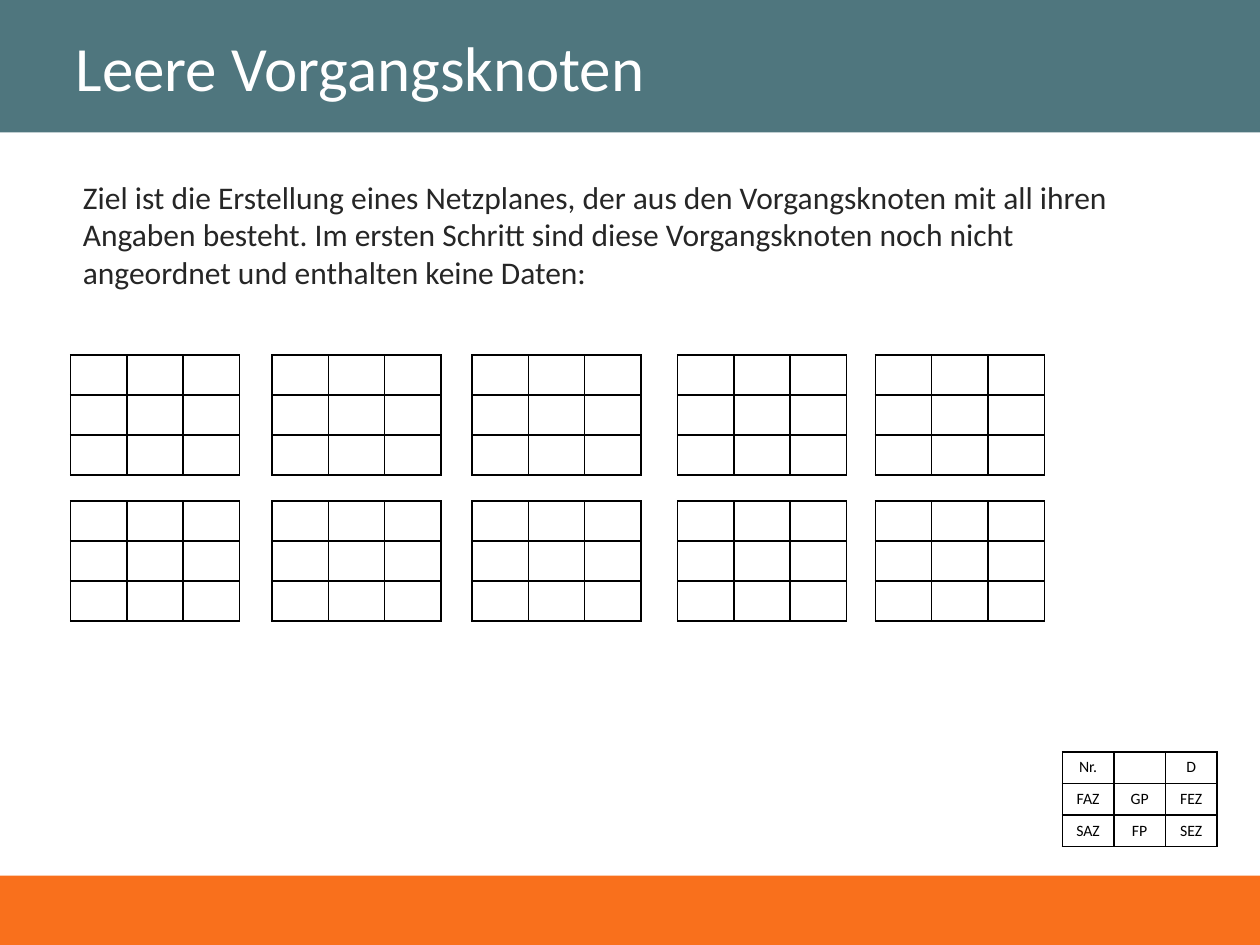
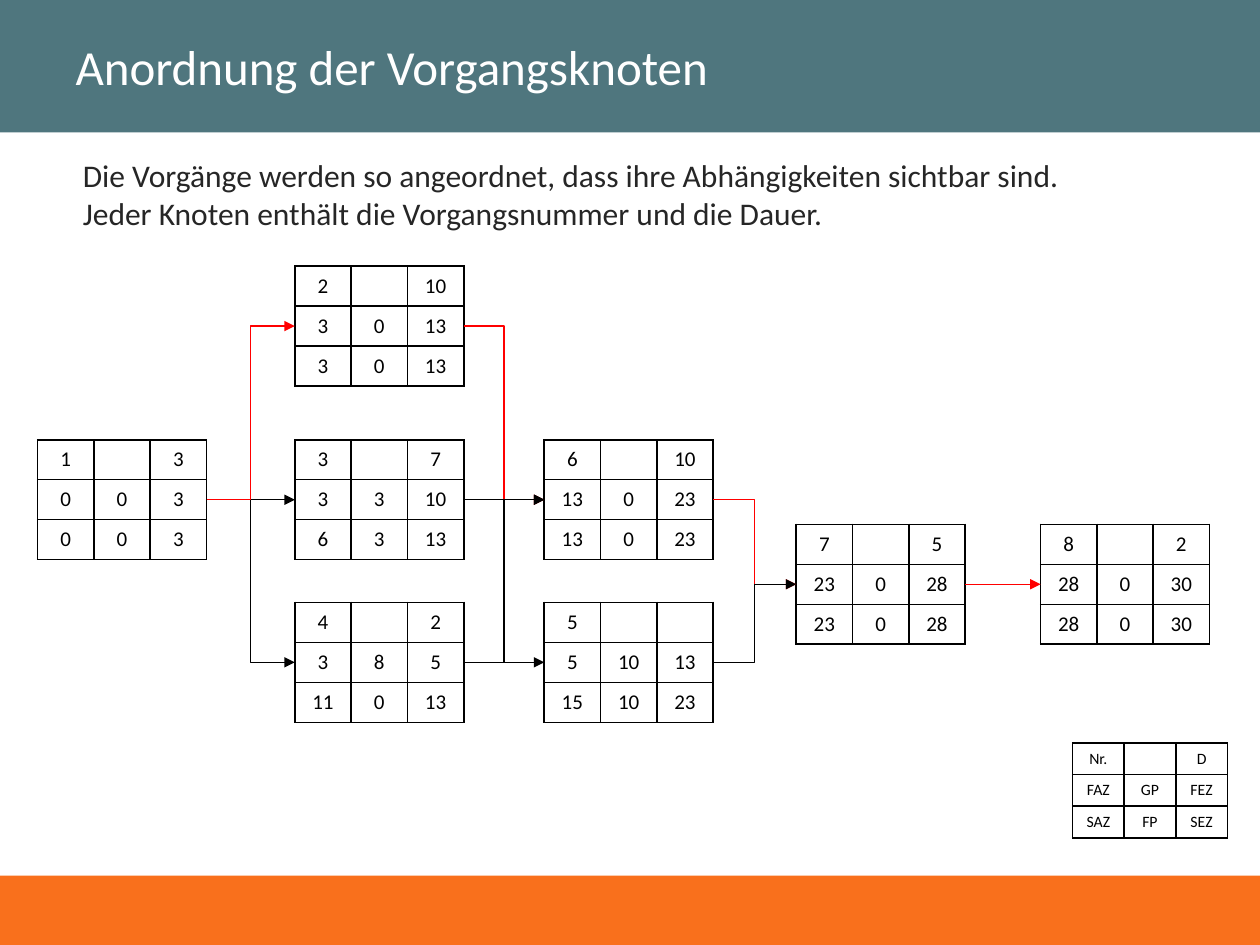
import dataclasses

import lxml.etree
import pptx
import pptx.dml.color
import pptx.enum.shapes
import pptx.enum.text
import pptx.oxml.ns
import pptx.util

Pt = pptx.util.Pt
qn = pptx.oxml.ns.qn


@dataclasses.dataclass(frozen=True)
class Theme:
    """Colours, font, type sizes and line widths of the deck."""
    font: str = "Calibri"
    band: str = "4F767E"
    footer: str = "F9701C"
    title: str = "FFFFFF"
    body: str = "262626"
    ink: str = "000000"
    critical: str = "FF0000"
    body_size: int = 18
    node_size: int = 12
    legend_size: int = 9
    border: float = 1
    arrow: float = 0.75


THEME = Theme()
SLIDE_WIDTH, SLIDE_HEIGHT = 720, 540
BAND_HEIGHT, FOOTER_HEIGHT = 75.6, 39.6
TEXT_LEFT, TEXT_WIDTH = 40.3, 607
NODE_CELL = (32.2, 22.86)
LEGEND_CELL = (29.5, 18.1)
NODE_WIDTH, NODE_HEIGHT = 3 * NODE_CELL[0], 3 * NODE_CELL[1]

EMPTY_NODE = [[""] * 3] * 3
LEGEND = [["Nr.", "", "D"], ["FAZ", "GP", "FEZ"], ["SAZ", "FP", "SEZ"]]

EMPTY_COLUMNS = (40.3, 155.5, 269.7, 387.2, 500.2)
EMPTY_ROWS = (203, 286.4)

NODES = {
    6: (311, 251.3, [["6", "", "10"], ["13", "0", "23"], ["13", "0", "23"]]),
    7: (455, 299.6, [["7", "", "5"], ["23", "0", "28"], ["23", "0", "28"]]),
    8: (594.6, 299.6, [["8", "", "2"], ["28", "0", "30"], ["28", "0", "30"]]),
    1: (21.5, 251.3, [["1", "", "3"], ["0", "0", "3"], ["0", "0", "3"]]),
    2: (168.5, 152.1, [["2", "", "10"], ["3", "0", "13"], ["3", "0", "13"]]),
    3: (168.5, 251.3, [["3", "", "7"], ["3", "3", "10"], ["6", "3", "13"]]),
    4: (168.5, 344.2, [["4", "", "2"], ["3", "8", "5"], ["11", "0", "13"]]),
    5: (311, 344.2, [["5", "", ""], ["5", "10", "13"], ["15", "10", "23"]]),
}

DEPENDENCIES = [
    (1, 3, THEME.ink, 18),
    (1, 4, THEME.ink, 0),
    (4, 5, THEME.ink, 0),
    (1, 2, THEME.critical, 0),
    (2, 6, THEME.critical, 0),
    (4, 6, THEME.ink, 0),
    (3, 6, THEME.ink, 0),
    (6, 7, THEME.critical, 0),
    (5, 7, THEME.ink, 0),
    (7, 8, THEME.critical, 0),
]


def rgb(value):
    """Return a colour object for a hex value."""
    return pptx.dml.color.RGBColor.from_string(value)


def write_text(frame, text, size, color, align="LEFT", anchor="TOP"):
    """Write one formatted paragraph into a text frame."""
    frame.word_wrap = True
    frame.vertical_anchor = getattr(pptx.enum.text.MSO_ANCHOR, anchor)
    para = frame.paragraphs[0]
    para.alignment = getattr(pptx.enum.text.PP_ALIGN, align)
    if not text:
        end = lxml.etree.SubElement(para._p, qn("a:endParaRPr"))
        end.set("sz", str(size * 100))
        return
    span = para.add_run()
    span.text = text
    span.font.name = THEME.font
    span.font.size = Pt(size)
    span.font.color.rgb = rgb(color)


def add_band(page, top, height, color):
    """Add a full-width coloured band."""
    band = page.shapes.add_shape(
        pptx.enum.shapes.MSO_SHAPE.RECTANGLE,
        Pt(0), Pt(top), Pt(SLIDE_WIDTH), Pt(height))
    band.shadow.inherit = False
    band.fill.solid()
    band.fill.fore_color.rgb = rgb(color)
    band.line.fill.background()
    return band


def add_page(deck, title, title_size):
    """Add a blank page with its footer and title band."""
    page = deck.slides.add_slide(deck.slide_layouts[6])
    add_band(page, SLIDE_HEIGHT - FOOTER_HEIGHT, FOOTER_HEIGHT, THEME.footer)
    band = add_band(page, 0, BAND_HEIGHT, THEME.band)
    band.text_frame.margin_left = Pt(43.2)
    write_text(band.text_frame, title, size=title_size, color=THEME.title,
               anchor="MIDDLE")
    return page


def add_body(page, text, top, height):
    """Add the introductory paragraph."""
    box = page.shapes.add_textbox(
        Pt(TEXT_LEFT), Pt(top), Pt(TEXT_WIDTH), Pt(height))
    write_text(box.text_frame, text, size=THEME.body_size, color=THEME.body)


def add_borders(cell):
    """Draw a solid line on all four sides of a table cell."""
    properties = cell._tc.get_or_add_tcPr()
    for side in ("a:lnL", "a:lnR", "a:lnT", "a:lnB"):
        line = lxml.etree.SubElement(properties, qn(side))
        line.set("w", str(Pt(THEME.border)))
        fill = lxml.etree.SubElement(line, qn("a:solidFill"))
        lxml.etree.SubElement(fill, qn("a:srgbClr")).set("val", THEME.ink)


def add_node(page, left, top, values, cell_size=NODE_CELL, size=THEME.node_size):
    """Add a three by three activity node as a table."""
    width, height = cell_size
    table = page.shapes.add_table(
        3, 3, Pt(left), Pt(top), Pt(3 * width), Pt(3 * height)).table
    table.first_row = table.horz_banding = False
    for column in table.columns:
        column.width = Pt(width)
    for row, row_values in zip(table.rows, values):
        row.height = Pt(height)
        for cell, value in zip(row.cells, row_values):
            cell.margin_left = cell.margin_right = Pt(0)
            cell.margin_top = cell.margin_bottom = Pt(0)
            write_text(cell.text_frame, value, size=size, color=THEME.ink,
                       align="CENTER")
            cell.vertical_anchor = pptx.enum.text.MSO_ANCHOR.MIDDLE
            add_borders(cell)
            cell.fill.background()


def add_legend(page, left, top):
    """Add the small node that explains the fields."""
    add_node(page, left, top, LEGEND, cell_size=LEGEND_CELL,
             size=THEME.legend_size)


def add_dependency(page, source, target, color, lead):
    """Add an arrow from the right of one node to the left of another."""
    source_left, source_top, _ = NODES[source]
    target_left, target_top, _ = NODES[target]
    kinds = pptx.enum.shapes.MSO_CONNECTOR
    kind = kinds.STRAIGHT if source_top == target_top else kinds.ELBOW
    arrow = page.shapes.add_connector(
        kind,
        Pt(source_left + NODE_WIDTH + lead), Pt(source_top + NODE_HEIGHT / 2),
        Pt(target_left), Pt(target_top + NODE_HEIGHT / 2))
    arrow.line.width = Pt(THEME.arrow)
    arrow.line.color.rgb = rgb(color)
    tail = lxml.etree.SubElement(arrow.line._get_or_add_ln(), qn("a:tailEnd"))
    tail.set("type", "triangle")
    lxml.etree.SubElement(arrow._element.spPr, qn("a:effectLst"))


def build_empty_nodes(deck):
    """Build the page with the blank activity nodes."""
    page = add_page(deck, "Leere Vorgangsknoten", title_size=36)
    for top in EMPTY_ROWS:
        for left in EMPTY_COLUMNS:
            add_node(page, left, top, EMPTY_NODE)
    add_body(page, "Ziel ist die Erstellung eines Netzplanes, der aus den "
             "Vorgangsknoten mit all ihren Angaben besteht. Im ersten Schritt "
             "sind diese Vorgangsknoten noch nicht angeordnet und enthalten "
             "keine Daten:", top=98, height=72.7)
    add_legend(page, 607, 429.6)


def build_network(deck):
    """Build the page with the arranged and linked nodes."""
    page = add_page(deck, "Anordnung der Vorgangsknoten", title_size=28)
    for left, top, values in NODES.values():
        add_node(page, left, top, values)
    for source, target, color, lead in DEPENDENCIES:
        add_dependency(page, source, target, color, lead)
    add_body(page, "Die Vorgänge werden so angeordnet, dass ihre "
             "Abhängigkeiten sichtbar sind. Jeder Knoten enthält die "
             "Vorgangsnummer und die Dauer.", top=85.5, height=51)
    add_legend(page, 612.9, 424.5)


def main():
    """Build and save the deck."""
    deck = pptx.Presentation()
    deck.slide_width, deck.slide_height = Pt(SLIDE_WIDTH), Pt(SLIDE_HEIGHT)
    build_empty_nodes(deck)
    build_network(deck)
    deck.save("out.pptx")


if __name__ == "__main__":
    main()
